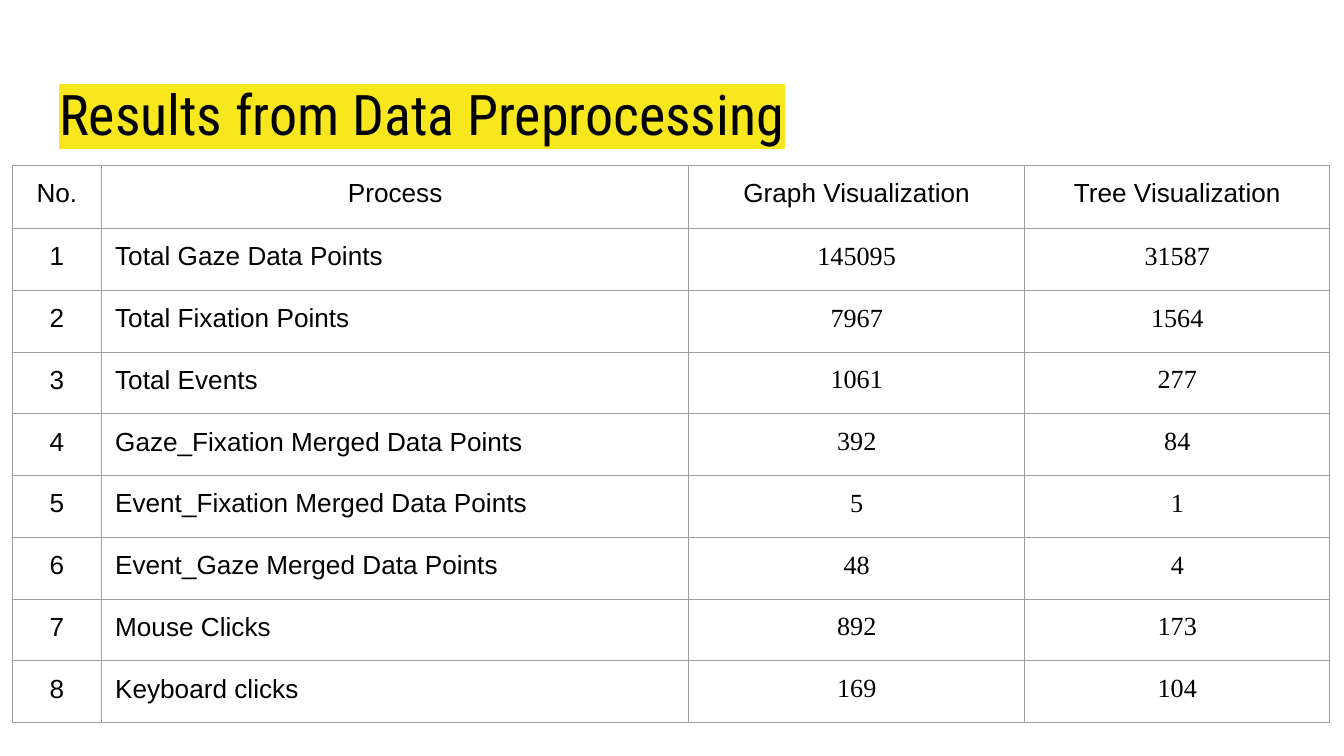
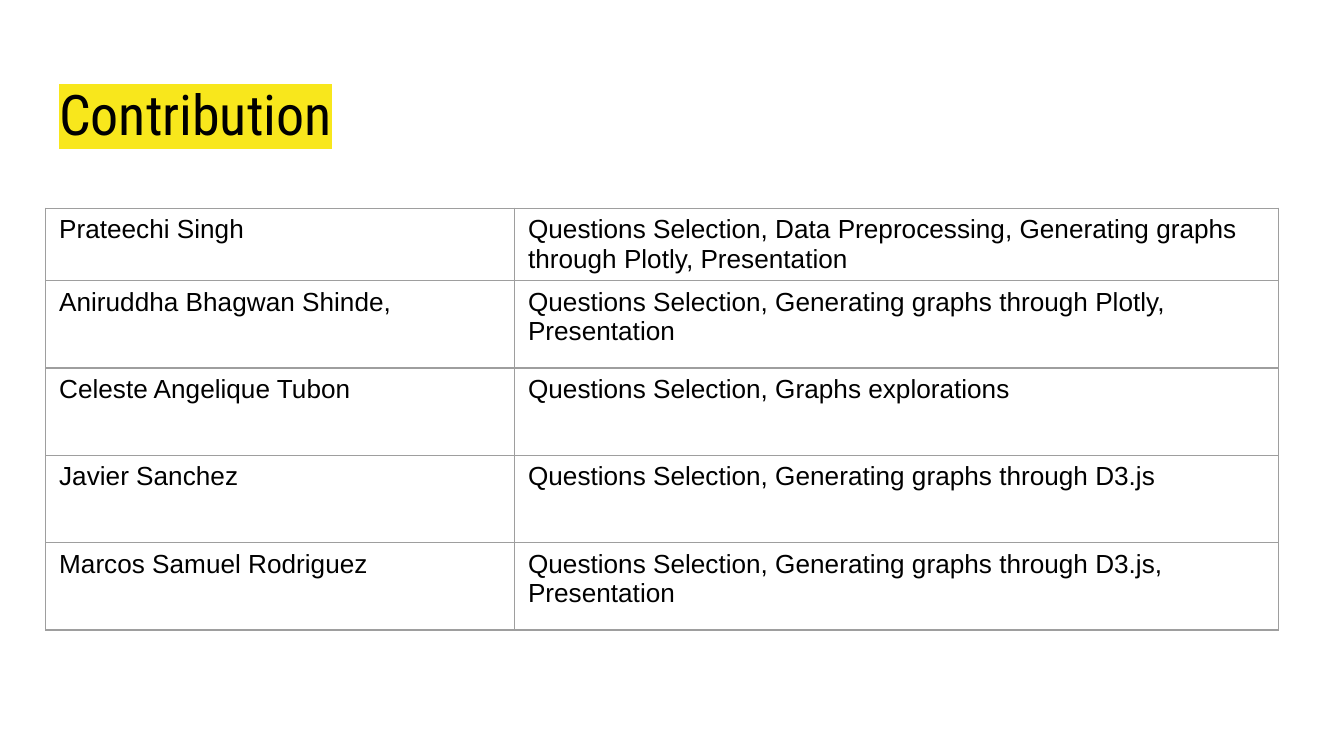
from lxml.etree import SubElement, fromstring
from pptx import Presentation
from pptx.dml.color import RGBColor as RGB
from pptx.enum.text import MSO_ANCHOR as ANCHOR, MSO_AUTO_SIZE as FIT, PP_ALIGN as ALIGN
from pptx.oxml.ns import nsdecls, qn
from pptx.util import Pt

COLORS = {"text": "000000", "mark": "F8E71C", "grid": "9E9E9E", "page": "FFFFFF"}
TITLE_FONT, BODY_FONT, NUMBER_FONT = "Roboto Condensed", "Arial", "Times New Roman"
TITLE_SIZE, BODY_SIZE = 30, 14
INSET = 7.2
L, C = ALIGN.LEFT, ALIGN.CENTER

RESULTS_HEAD = ("No.", "Process", "Graph Visualization", "Tree Visualization")
RESULTS = [
    ("Total Gaze Data Points", 145095, 31587),
    ("Total Fixation Points", 7967, 1564),
    ("Total Events", 1061, 277),
    ("Gaze_Fixation Merged Data Points", 392, 84),
    ("Event_Fixation Merged Data Points", 5, 1),
    ("Event_Gaze Merged Data Points", 48, 4),
    ("Mouse Clicks", 892, 173),
    ("Keyboard clicks", 169, 104),
]
CONTRIBUTIONS = [
    ("Prateechi Singh",
     "Questions Selection, Data Preprocessing, Generating graphs through Plotly, Presentation"),
    ("Aniruddha Bhagwan Shinde,",
     "Questions Selection, Generating graphs through Plotly, Presentation"),
    ("Celeste Angelique Tubon", "Questions Selection, Graphs explorations"),
    ("Javier Sanchez", "Questions Selection, Generating graphs through D3.js"),
    ("Marcos Samuel Rodriguez",
     "Questions Selection, Generating graphs through D3.js, Presentation"),
]


class Deck:
    def __init__(self):
        self.prs = Presentation()
        self.prs.slide_width, self.prs.slide_height = Pt(720), Pt(405)
        self.s = None

    def slide(self, title):
        self.s = self.prs.slides.add_slide(self.prs.slide_layouts[5])
        fill = self.s.background.fill
        fill.solid()
        fill.fore_color.rgb = RGB.from_string(COLORS["page"])
        self.title(title)

    def title(self, text):
        sp = self.s.shapes.title
        sp.left, sp.top, sp.width, sp.height = Pt(24.5), Pt(35.5), Pt(671), Pt(45)
        tf = sp.text_frame
        tf.text = text
        tf.auto_size, tf.word_wrap, tf.vertical_anchor = FIT.NONE, True, ANCHOR.TOP
        tf.margin_left = tf.margin_right = tf.margin_top = tf.margin_bottom = Pt(INSET)
        self.style(tf.paragraphs[0], TITLE_FONT, TITLE_SIZE, L, COLORS["mark"])

    def style(self, p, font, size, align, mark=None):
        p.alignment = align
        for r in p.runs:
            r.font.name, r.font.size = font, Pt(size)
            r.font.color.rgb = RGB.from_string(COLORS["text"])
            if mark:
                fill = r.font.fill._xPr.find(qn("a:solidFill"))
                fill.addnext(fromstring(
                    f'<a:highlight {nsdecls("a")}><a:srgbClr val="{mark}"/></a:highlight>'))

    def table(self, left, top, widths, heights, rows, look, pad=INSET):
        """Draw a ruled table; look(row, column) gives a cell's font and alignment."""
        tbl = self.s.shapes.add_table(len(rows), len(widths), Pt(left), Pt(top),
                                      Pt(sum(widths)), Pt(sum(heights))).table
        tbl.first_row = tbl.horz_banding = False
        for col, width in zip(tbl.columns, widths):
            col.width = Pt(width)
        for row, height in zip(tbl.rows, heights):
            row.height = Pt(height)
        for i, values in enumerate(rows):
            for j, value in enumerate(values):
                cell = tbl.cell(i, j)
                cell.text = str(value)
                cell.margin_left = cell.margin_right = Pt(INSET)
                cell.margin_top = cell.margin_bottom = Pt(pad)
                font, align = look(i, j)
                self.style(cell.text_frame.paragraphs[0], font, BODY_SIZE, align)
                self.rule(cell)
                cell.fill.background()

    def rule(self, cell):
        tc_pr = cell._tc.get_or_add_tcPr()
        for side in "LRTB":
            ln = SubElement(tc_pr, qn(f"a:ln{side}"), w=str(Pt(0.75)))
            fill = SubElement(ln, qn("a:solidFill"))
            SubElement(fill, qn("a:srgbClr"), val=COLORS["grid"])


def results_look(row, col):
    font = NUMBER_FONT if row > 0 and col > 1 else BODY_FONT
    return font, L if row > 0 and col == 1 else C


def main():
    deck = Deck()
    deck.slide("Results from Data Preprocessing")
    numbered = [(n, *row) for n, row in enumerate(RESULTS, 1)]
    deck.table(6.5, 88.5, (48, 314.5, 180, 163.5), [34] + [33.1] * len(RESULTS),
               [RESULTS_HEAD] + numbered, results_look)

    deck.slide("Contribution")
    deck.table(24.5, 111.6, (251.2, 409.2), [38.5] + [46.8] * (len(CONTRIBUTIONS) - 1),
               CONTRIBUTIONS, lambda row, col: (BODY_FONT, L), pad=INSET / 2)
    deck.prs.save("out.pptx")


if __name__ == "__main__":
    main()
